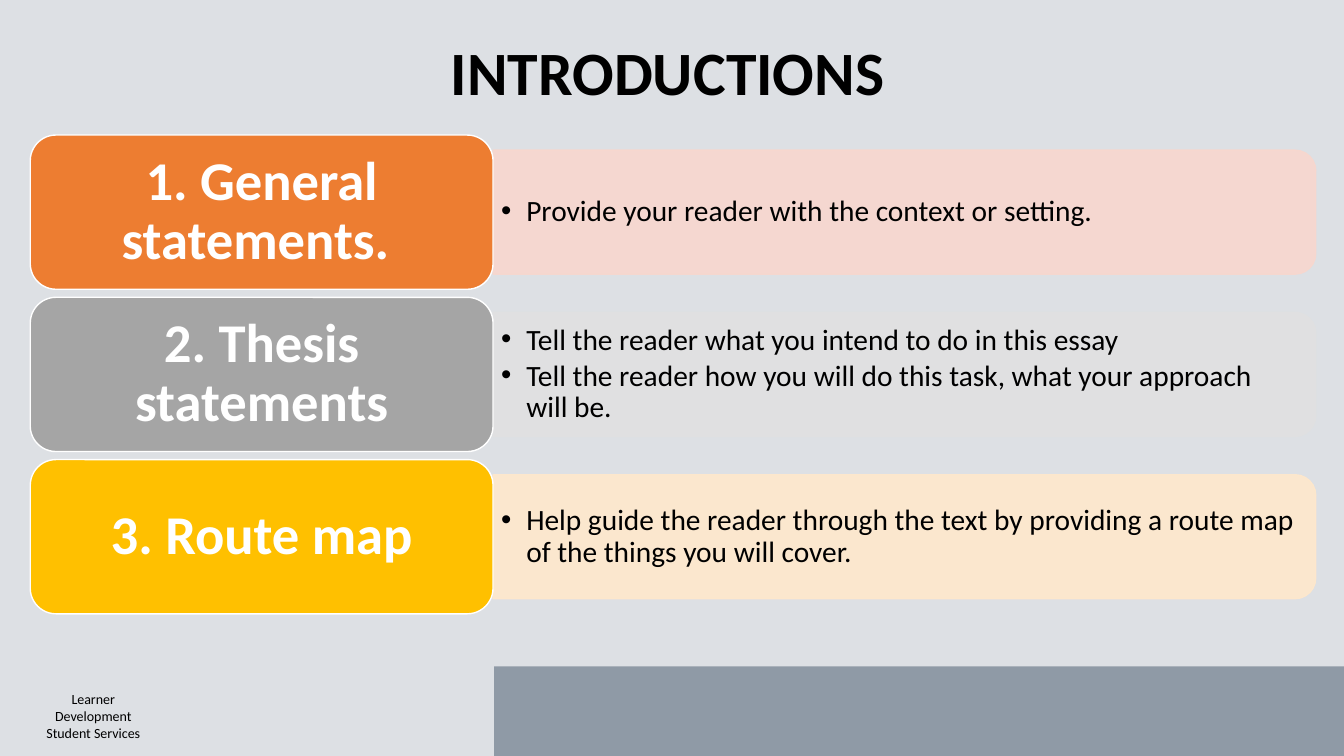
from lxml.etree import SubElement
from pptx import Presentation
from pptx.dml.color import RGBColor
from pptx.enum.shapes import MSO_SHAPE
from pptx.enum.text import MSO_ANCHOR, PP_ALIGN
from pptx.oxml.ns import qn
from pptx.util import Inches, Pt

STEPS = [
    ("1. General statements. ", "ED7D31", "F8D7CE",
     ["Provide your reader with the context or setting."]),
    ("2. Thesis statements", "A5A5A5", "E1E1E1",
     ["Tell the reader what you intend to do in this essay",
      "Tell the reader how you will do this task, what your approach will be."]),
    ("3. Route map", "FFC000", "FFE8CC",
     ["Help guide the reader through the text by providing a route map "
      "of the things you will cover."]),
]
FIRST_TOP, STEP_PITCH = 1.34, 1.61
LABEL_LEFT, LABEL_WIDTH, LABEL_HEIGHT = 0.3, 4.59, 1.53
PANEL_LEFT, PANEL_WIDTH, PANEL_HEIGHT = 4.89, 8.16, 1.23
SLATE = "8F9AA6"


def rgb(value):
    return RGBColor.from_string(value)


def apply(target, values):
    for name, value in values.items():
        setattr(target, name, value)


def set_opacity(fill_parent, percent):
    for color in fill_parent.iter(qn("a:srgbClr")):
        SubElement(color, qn("a:alpha"), val=str(percent * 1000))


def add_block(slide, kind, box, fill, line=None, opacity=100):
    block = slide.shapes.add_shape(kind, *map(Inches, box))
    block.shadow.inherit = False
    block.fill.solid()
    block.fill.fore_color.rgb = rgb(fill)
    if line:
        block.line.color.rgb = rgb(line)
        block.line.width = Pt(1)
    else:
        block.line.fill.background()
    if opacity < 100:
        set_opacity(block.element.spPr, opacity)
    return block


def write(frame, lines, size, color="000000", bold=False, margins=(0.1, 0.05),
          anchor=MSO_ANCHOR.MIDDLE, **paragraph_format):
    across, down = map(Inches, margins)
    apply(frame, {"word_wrap": True, "vertical_anchor": anchor,
                  "margin_left": across, "margin_right": across,
                  "margin_top": down, "margin_bottom": down})
    for index, line in enumerate(lines):
        paragraph = frame.add_paragraph() if index else frame.paragraphs[0]
        apply(paragraph, paragraph_format)
        run = paragraph.add_run()
        run.text = line
        apply(run.font, {"name": "Calibri", "size": Pt(size), "bold": bold})
        run.font.color.rgb = rgb(color)


def add_bullets(frame):
    for paragraph in frame.paragraphs:
        properties = paragraph._p.get_or_add_pPr()
        properties.set("marL", str(Inches(0.25)))
        properties.set("indent", str(-Inches(0.25)))
        SubElement(properties, qn("a:buFont"), typeface="Arial")
        SubElement(properties, qn("a:buChar"), char="•")


def add_step(slide, top, heading, label_color, panel_color, points):
    middle = top + LABEL_HEIGHT / 2
    panel_box = (PANEL_LEFT + (PANEL_WIDTH - PANEL_HEIGHT) / 2,
                 middle - PANEL_WIDTH / 2, PANEL_HEIGHT, PANEL_WIDTH)
    panel = add_block(slide, MSO_SHAPE.ROUND_2_SAME_RECTANGLE, panel_box,
                      panel_color, panel_color, 90)
    panel.rotation = 90

    details = slide.shapes.add_textbox(
        *map(Inches, (4.88, top + 0.21, 8.1, 1.11)))
    write(details.text_frame, points, 21, margins=(0.09, 0.04), level=1,
          line_spacing=0.9, space_after=Pt(3), alignment=PP_ALIGN.LEFT)
    add_bullets(details.text_frame)

    label = add_block(slide, MSO_SHAPE.ROUNDED_RECTANGLE,
                      (LABEL_LEFT, top, LABEL_WIDTH, LABEL_HEIGHT),
                      label_color, "FFFFFF")
    write(label.text_frame, [heading], 39, "FFFFFF", True, (0.23, 0.15),
          alignment=PP_ALIGN.CENTER, line_spacing=0.9)


def add_title(slide, text):
    title = slide.shapes.title
    left, top, width, height = map(Inches, (0.22, 0.17, 12.81, 1.16))
    apply(title, {"left": left, "top": top, "width": width, "height": height})
    write(title.text_frame, [text], 44, bold=True,
          alignment=PP_ALIGN.CENTER, line_spacing=0.9)
    title.element.getparent().append(title.element)


def main():
    deck = Presentation()
    apply(deck, {"slide_width": Inches(13.33), "slide_height": Inches(7.5)})
    slide = deck.slides.add_slide(deck.slide_layouts[5])

    add_block(slide, MSO_SHAPE.RECTANGLE, (0, 0, 13.33, 7.5), SLATE, opacity=30)
    add_block(slide, MSO_SHAPE.RECTANGLE, (4.9, 6.61, 8.43, 0.89), SLATE)
    department = slide.shapes.add_textbox(*map(Inches, (0.23, 6.8, 1.39, 0.61)))
    write(department.text_frame, ["Learner Development", "Student Services"], 10,
          anchor=MSO_ANCHOR.TOP, alignment=PP_ALIGN.CENTER)

    add_title(slide, "INTRODUCTIONS")
    for index, step in enumerate(STEPS):
        add_step(slide, FIRST_TOP + index * STEP_PITCH, *step)
    deck.save("out.pptx")


if __name__ == "__main__":
    main()
